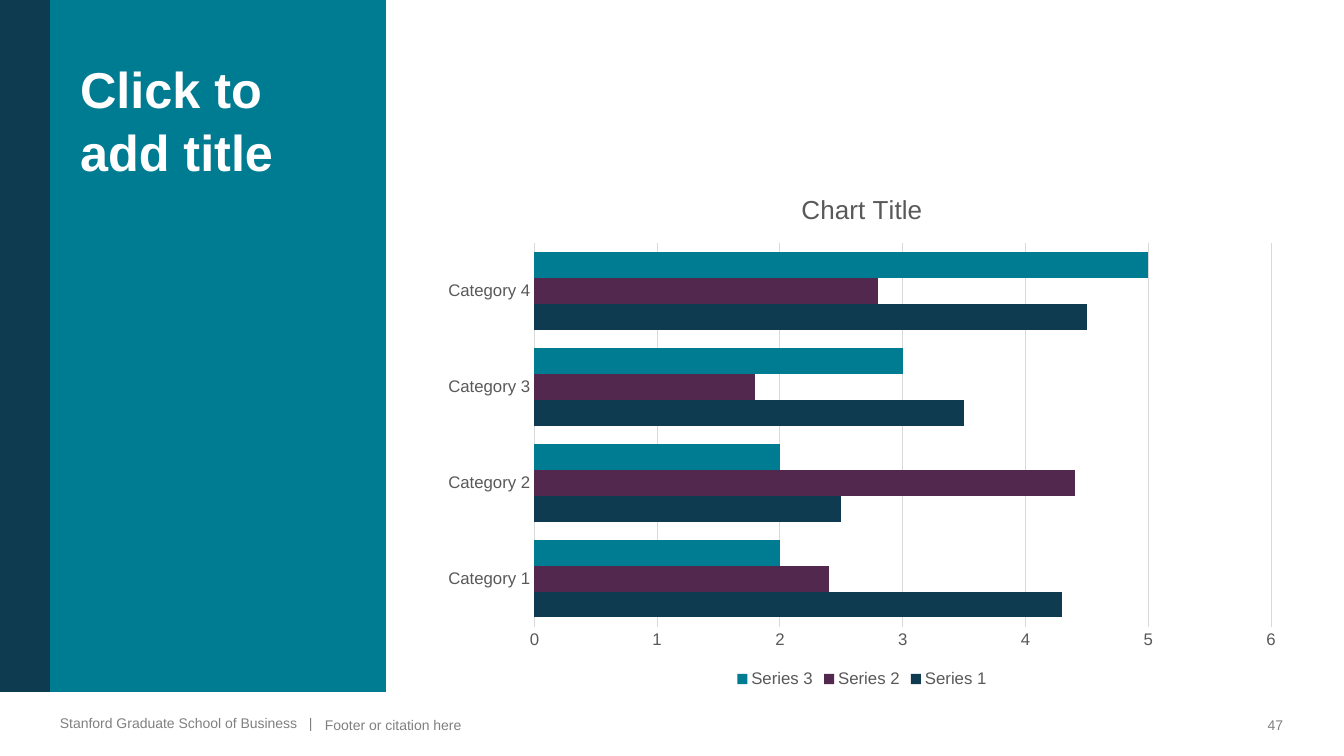
from pptx import Presentation
from pptx.chart.data import CategoryChartData
from pptx.dml.color import RGBColor
from pptx.enum.chart import XL_CHART_TYPE as ChartType, XL_LEGEND_POSITION as LegendPosition
from pptx.enum.chart import XL_TICK_MARK as TickMark
from pptx.enum.shapes import MSO_SHAPE as Shape
from pptx.enum.text import MSO_ANCHOR as Anchor, MSO_AUTO_SIZE as AutoSize, PP_ALIGN as Align
from pptx.util import Pt

PX = 914400 / 100.8
NAVY, TEAL, PLUM = "0E3B50", "007C92", "53284F"
GREY, CHART_GREY, RULE_GREY, WHITE = "808080", "595959", "D9D9D9", "FFFFFF"


def px(*lengths):
    return [round(length * PX) for length in lengths]


def write(frame, text, size=10, color=GREY, bold=False, align=Align.LEFT,
          anchor=Anchor.BOTTOM, wrap=True, spacing=1.0):
    frame.auto_size = AutoSize.NONE
    frame.word_wrap = wrap
    frame.vertical_anchor = anchor
    para = frame.paragraphs[0]
    para.alignment = align
    para.line_spacing = spacing
    span = para.add_run()
    span.text = text
    span.font.name, span.font.size, span.font.bold = "Arial", Pt(size), bold
    span.font.color.rgb = RGBColor.from_string(color)


deck = Presentation()
deck.slide_width, deck.slide_height = px(1344, 756)
page = deck.slides.add_slide(deck.slide_layouts[5])

# Left band
band = page.shapes.add_shape(Shape.RECTANGLE, *px(0, 0, 50, 692))
band.shadow.inherit = False
band.fill.solid()
band.fill.fore_color.rgb = RGBColor.from_string(NAVY)
band.line.fill.background()

# Title panel
title = page.shapes.title
title.left, title.top, title.width, title.height = px(50, 0, 336, 692)
title.fill.solid()
title.fill.fore_color.rgb = RGBColor.from_string(TEAL)
frame = title.text_frame
frame.margin_left, frame.margin_top, frame.margin_right, frame.margin_bottom = px(30, 55, 30, 5)
write(frame, "Click to add title", size=36, color=WHITE, bold=True,
      anchor=Anchor.TOP, spacing=1.05)

# Footer
for place, text, align, wrap in [
    ((50, 709, 274, 27), "Stanford Graduate School of Business   |", Align.LEFT, False),
    ((315, 709, 924, 29), "Footer or citation here", Align.LEFT, True),
    ((1254, 709, 39, 29), "47", Align.RIGHT, False),
]:
    box = page.shapes.add_textbox(*px(*place))
    write(box.text_frame, text, align=align, wrap=wrap)

# Bar chart
data = CategoryChartData()
data.categories = [f"Category {number}" for number in range(1, 5)]
data.add_series("Series 1", (4.3, 2.5, 3.5, 4.5))
data.add_series("Series 2", (2.4, 4.4, 1.8, 2.8))
data.add_series("Series 3", (2, 2, 3, 5))
chart = page.shapes.add_chart(ChartType.BAR_CLUSTERED, *px(431, 172, 862, 520), data).chart
chart.font.name, chart.font.size = "Arial", Pt(12)
chart.font.color.rgb = RGBColor.from_string(CHART_GREY)
write(chart.chart_title.text_frame, "Chart Title", size=18.6, color=CHART_GREY, align=Align.CENTER)
chart.chart_title.include_in_layout = False

plot = chart.plots[0]
plot.gap_width, plot.overlap = 70, 0
plot.vary_by_categories = False
for series, color in zip(plot.series, (NAVY, PLUM, TEAL)):
    series.format.fill.solid()
    series.format.fill.fore_color.rgb = RGBColor.from_string(color)

# Axes and legend
categories, values = chart.category_axis, chart.value_axis
for axis in (categories, values):
    axis.major_tick_mark = axis.minor_tick_mark = TickMark.NONE
values.minimum_scale, values.maximum_scale, values.major_unit = 0, 6, 1
values.has_major_gridlines = True
values.format.line.fill.background()
for rule in (categories.format.line, values.major_gridlines.format.line):
    rule.width = Pt(0.75)
    rule.color.rgb = RGBColor.from_string(RULE_GREY)
chart.has_legend = True
chart.legend.position = LegendPosition.BOTTOM
chart.legend.include_in_layout = False

deck.save("out.pptx")
